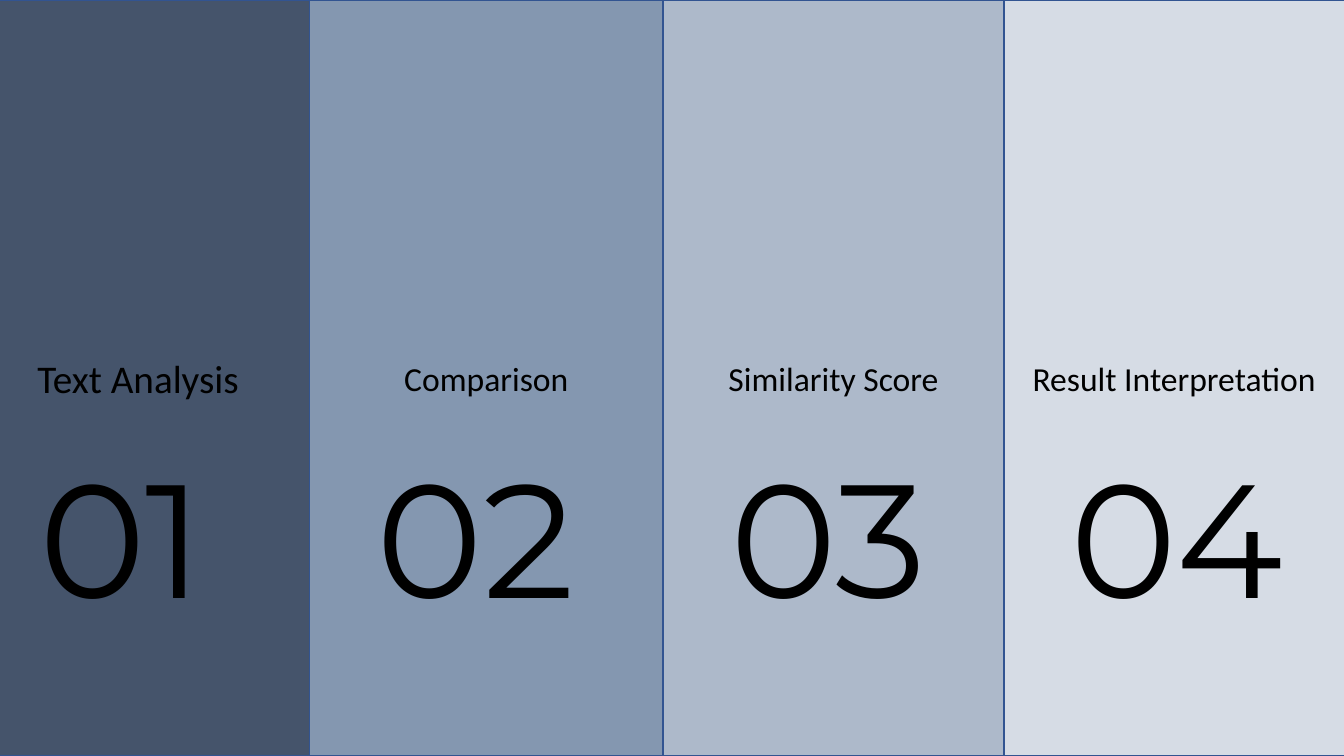
"""Build a slide of four numbered process steps in side-by-side colour bands."""
import dataclasses

import pptx
import pptx.dml.color
import pptx.enum.shapes
import pptx.enum.text
import pptx.slide
import pptx.text.text
import pptx.util
from pptx.util import Cm

SLIDE_WIDTH = Cm(33.87)
SLIDE_HEIGHT = Cm(19.05)


@dataclasses.dataclass(frozen=True)
class Step:
    """One colour band with its heading and number, lengths in centimetres."""
    heading: str
    left: float
    right: float
    fill: str
    number_left: float
    number_width: float = 6.65
    heading_size: int = 24


STEPS = [
    Step("Text Analysis", -0.84, 7.8, "45546B", 0.74, 7.06, 28),
    Step("Comparison", 7.8, 16.71, "8497B0", 9.25),
    Step("Similarity Score", 16.71, 25.3, "ADB9CA", 18.16),
    Step("Result Interpretation", 25.3, 33.88, "D6DCE5", 26.72),
]


def color(value: str) -> pptx.dml.color.RGBColor:
    """Turn a hex string into a colour."""
    return pptx.dml.color.RGBColor.from_string(value)


def write(frame: pptx.text.text.TextFrame, text: str, font: str, size: int) -> None:
    """Set black text in the given font and size."""
    frame.text = text
    frame.word_wrap = True
    run = frame.paragraphs[0].runs[0]
    run.font.name = font
    run.font.size = pptx.util.Pt(size)
    run.font.color.rgb = color("000000")


def draw_step(slide: pptx.slide.Slide, step: Step, position: int) -> None:
    """Draw the band of a step and the number on it."""
    band = slide.shapes.add_shape(
        pptx.enum.shapes.MSO_SHAPE.RECTANGLE,
        Cm(step.left), 0, Cm(step.right - step.left), SLIDE_HEIGHT)
    band.shadow.inherit = False
    band.fill.solid()
    band.fill.fore_color.rgb = color(step.fill)
    band.line.color.rgb = color("325491")
    band.line.width = pptx.util.Pt(1)
    write(band.text_frame, step.heading, "Calibri", step.heading_size)
    band.text_frame.vertical_anchor = pptx.enum.text.MSO_ANCHOR.MIDDLE
    band.text_frame.paragraphs[0].alignment = pptx.enum.text.PP_ALIGN.CENTER

    number = slide.shapes.add_textbox(
        Cm(step.number_left), Cm(10.9), Cm(step.number_width), Cm(5.18))
    write(number.text_frame, f"{position:02}", "Montserrat", 115)
    number.text_frame.auto_size = pptx.enum.text.MSO_AUTO_SIZE.SHAPE_TO_FIT_TEXT


def main() -> None:
    """Create the presentation and save it."""
    deck = pptx.Presentation()
    deck.slide_width = SLIDE_WIDTH
    deck.slide_height = SLIDE_HEIGHT
    slide = deck.slides.add_slide(deck.slide_layouts[6])
    slide.background.fill.solid()
    slide.background.fill.fore_color.rgb = color("222A35")
    for position, step in enumerate(STEPS, start=1):
        draw_step(slide, step, position)
    deck.save("out.pptx")


if __name__ == "__main__":
    main()
